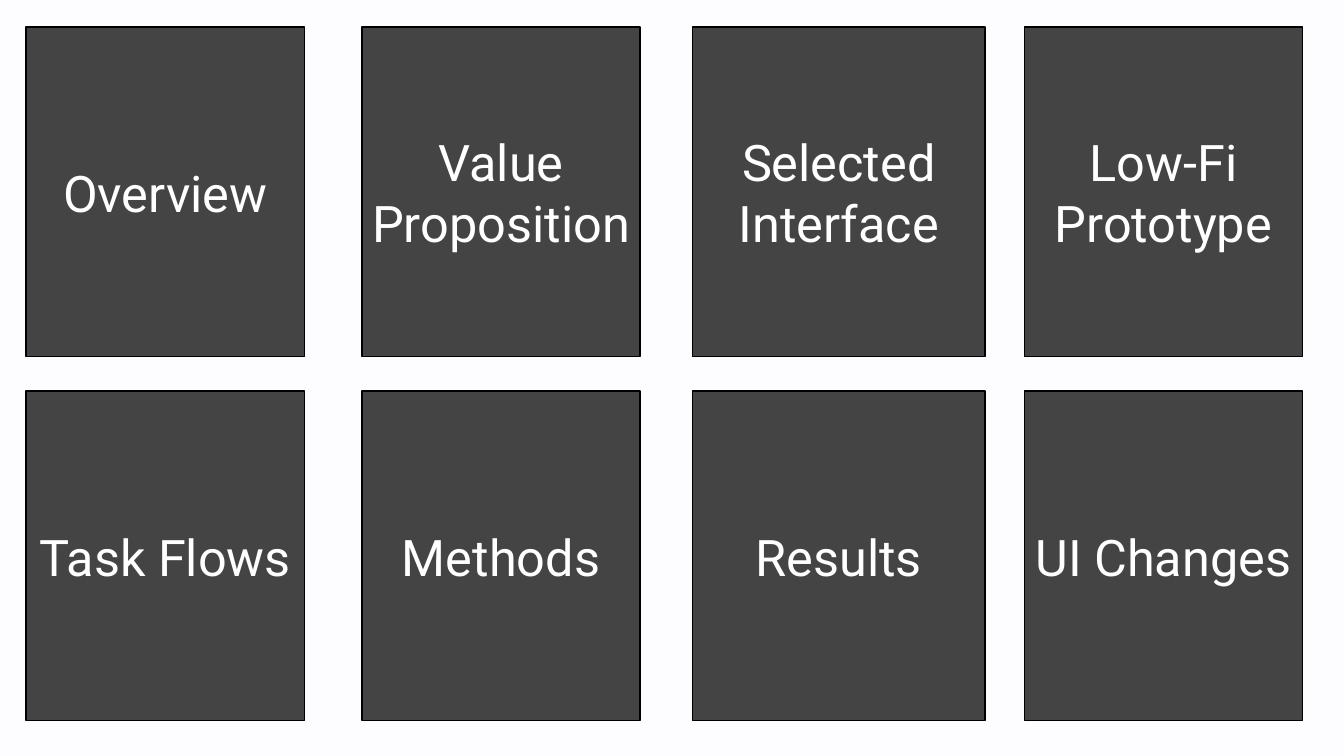
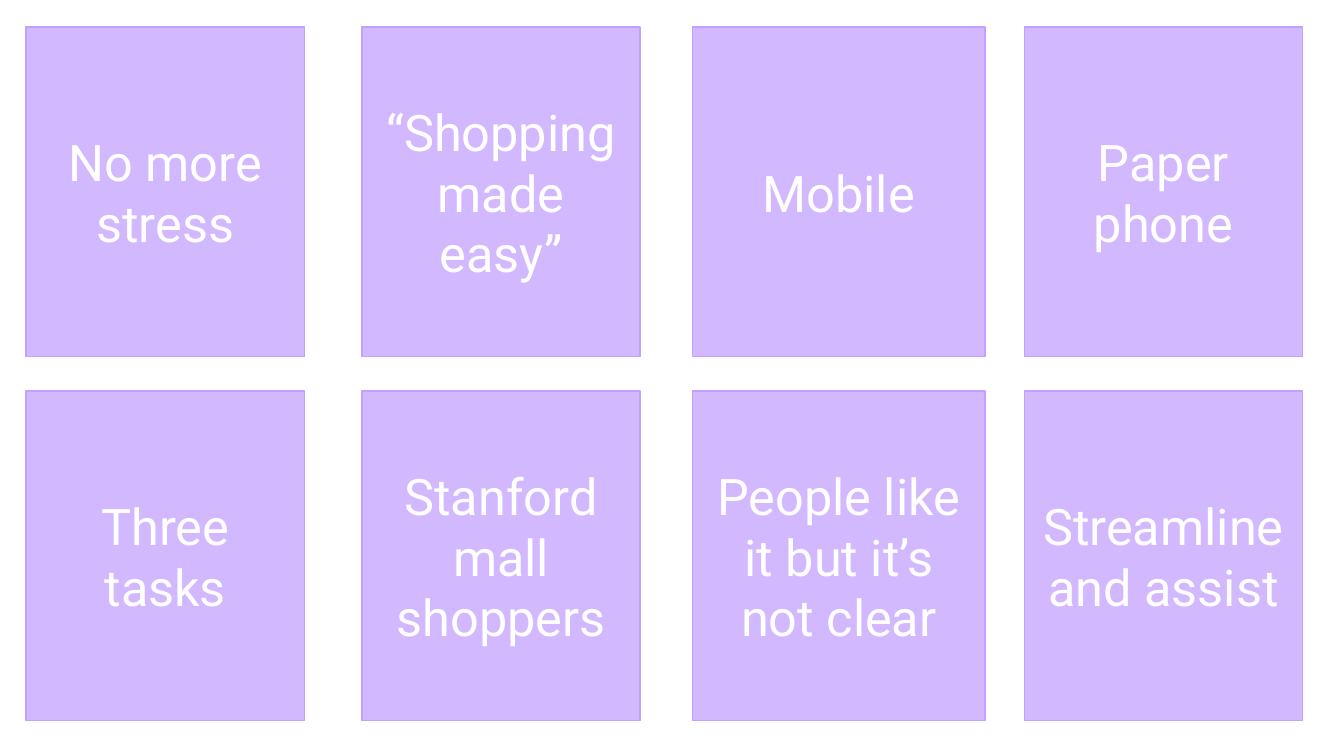
from lxml.etree import SubElement
from pptx import Presentation
from pptx.dml.color import RGBColor
from pptx.enum.shapes import MSO_SHAPE
from pptx.enum.text import MSO_ANCHOR, PP_ALIGN
from pptx.oxml.ns import qn
from pptx.util import Inches, Pt

BLACK = RGBColor(0x00, 0x00, 0x00)
WHITE = RGBColor(0xFF, 0xFF, 0xFF)
LAVENDER = RGBColor(0xC2, 0xA0, 0xFF)
PALE_LAVENDER = RGBColor(0xFD, 0xFD, 0xFF)

COLUMNS = [(0.26, 2.76), (3.59, 2.76), (6.87, 2.9), (10.16, 2.76)]  # left, width
ROW_TOPS = [0.27, 3.88]
CARD_HEIGHT = 3.27

TOPICS = [
    ["Overview", "Value Proposition", "Selected Interface", "Low-Fi Prototype"],
    ["Task Flows", "Methods", "Results", "UI Changes"],
]
SUMMARIES = [
    ["No more stress", "“Shopping made easy”", "Mobile", "Paper phone"],
    ["Three tasks", "Stanford mall shoppers", "People like it but it’s not clear",
     "Streamline and assist"],
]


class CardDeck:
    FONT = {"name": "Roboto", "size": Pt(36)}
    FRAME = {"word_wrap": True, "vertical_anchor": MSO_ANCHOR.MIDDLE}
    OPACITY = 73

    def __init__(self):
        self.presentation = Presentation()
        self.presentation.slide_width = Inches(13.33)
        self.presentation.slide_height = Inches(7.5)
        self.slide = None

    def add_slide(self, background):
        blank_layout = self.presentation.slide_layouts[6]
        self.slide = self.presentation.slides.add_slide(blank_layout)
        self.slide.background.fill.solid()
        self.slide.background.fill.fore_color.rgb = background

    def add_card(self, text, left, top, width, color):
        shape = self.slide.shapes.add_shape(
            MSO_SHAPE.RECTANGLE, Inches(left), Inches(top), Inches(width), Inches(CARD_HEIGHT))
        shape.shadow.inherit = False
        shape.fill.solid()
        shape.fill.fore_color.rgb = color
        fill_color = shape.element.spPr.find(qn("a:solidFill"))[0]
        SubElement(fill_color, qn("a:alpha"), val=str(self.OPACITY * 1000))
        shape.line.color.rgb = color
        shape.line.width = Pt(1)

        for name, value in self.FRAME.items():
            setattr(shape.text_frame, name, value)
        paragraph = shape.text_frame.paragraphs[0]
        paragraph.text = text
        paragraph.alignment = PP_ALIGN.CENTER
        for name, value in self.FONT.items():
            setattr(paragraph.font, name, value)
        paragraph.font.color.rgb = WHITE

    def add_card_grid(self, rows, color):
        for top, texts in zip(ROW_TOPS, rows):
            for (left, width), text in zip(COLUMNS, texts):
                self.add_card(text, left, top, width, color)


def main():
    deck = CardDeck()
    for background, rows, color in [
        (PALE_LAVENDER, TOPICS, BLACK),
        (WHITE, SUMMARIES, LAVENDER),
    ]:
        deck.add_slide(background)
        deck.add_card_grid(rows, color)
    deck.presentation.save("out.pptx")


if __name__ == "__main__":
    main()
